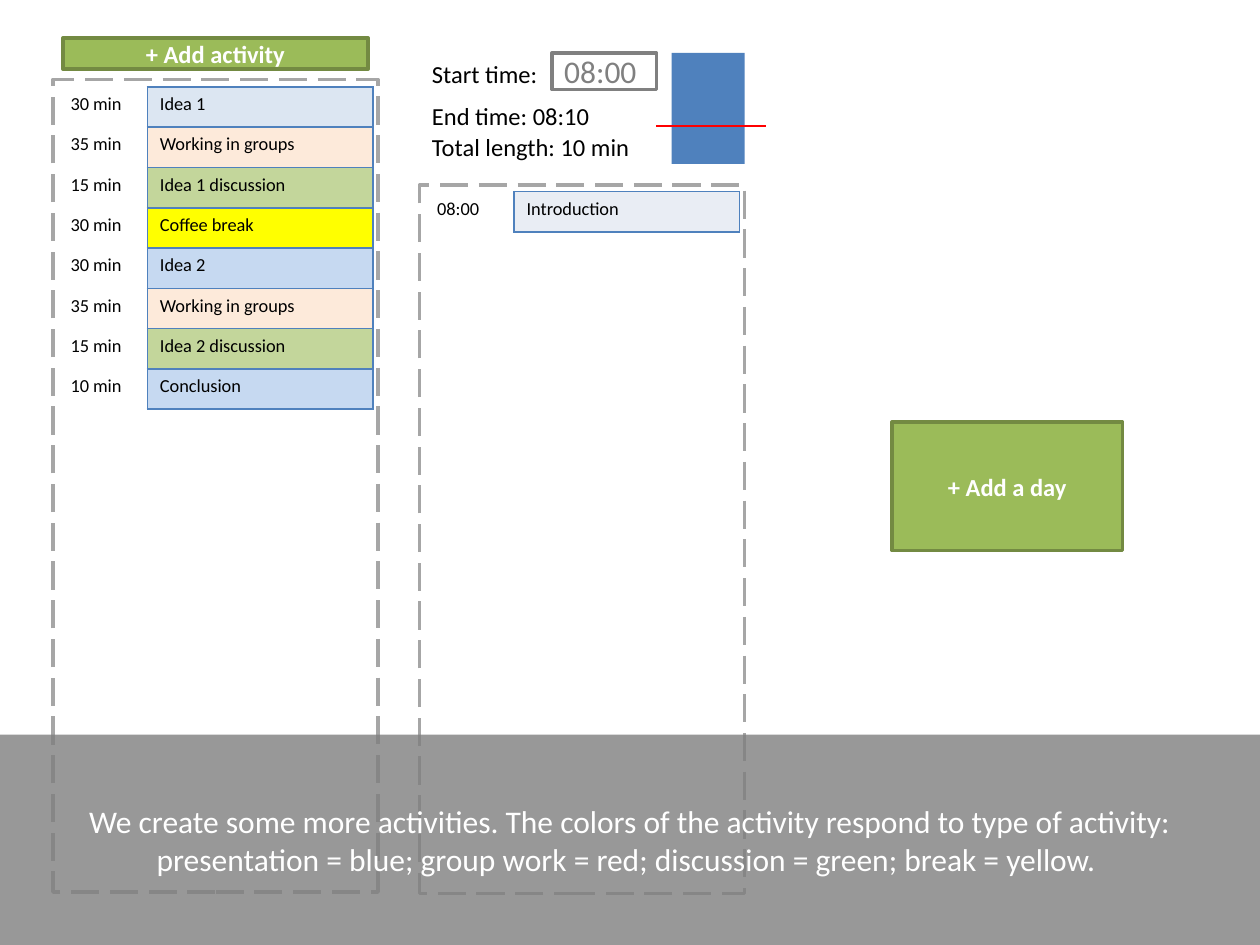
from lxml import etree
from pptx import Presentation
from pptx.dml.color import RGBColor
from pptx.enum import dml, shapes, text
from pptx.oxml import ns
from pptx.util import Inches, Pt

COLORS = {
    "white": "FFFFFF", "black": "000000", "gray": "808080", "frame": "A6A6A6",
    "banner": "7F7F7F", "green": "9BBB59", "edge": "738A42", "blue": "4F81BD",
    "red": "FF0000", "intro": "E9EDF4", "idea": "DCE6F2", "talk": "C6D9F1",
    "group": "FDEADA", "discuss": "C3D69B", "break": "FFFF00",
}
ACTIVITIES = [
    ("30 min", "Idea 1", "idea"),
    ("35 min", "Working in groups", "group"),
    ("15 min", "Idea 1 discussion", "discuss"),
    ("30 min", "Coffee break", "break"),
    ("30 min", "Idea 2", "talk"),
    ("35 min", "Working in groups", "group"),
    ("15 min", "Idea 2 discussion", "discuss"),
    ("10 min", "Conclusion", "talk"),
]


def rgb(name):
    return RGBColor.from_string(COLORS[name])


def add_sub(parent, tag, **attrs):
    return etree.SubElement(parent, ns.qn(tag), **attrs)


class Board:
    """Holds the style and the current slide."""
    font = "Calibri"

    def __init__(self, slide):
        self.slide = slide

    def set_text(self, frame, words, size, color="black", bold=False, align=None):
        frame.text = words
        para = frame.paragraphs[0]
        para.alignment = align
        para.font.name = self.font
        para.font.size = Pt(size)
        para.font.bold = bold
        para.font.color.rgb = rgb(color)

    def box(self, x, y, w, h, fill=None, line=None, dash=None, alpha=None):
        shape = self.slide.shapes.add_shape(
            shapes.MSO_SHAPE.RECTANGLE, Inches(x), Inches(y), Inches(w), Inches(h))
        shape.shadow.inherit = False
        if fill:
            shape.fill.solid()
            shape.fill.fore_color.rgb = rgb(fill)
        else:
            shape.fill.background()
        if line:
            shape.line.color.rgb = rgb(line)
            shape.line.width = Pt(2)
            shape.line.dash_style = dash
        else:
            shape.line.fill.background()
        if alpha:
            tint = shape._element.spPr.find(".//" + ns.qn("a:srgbClr"))
            add_sub(tint, "a:alpha", val=str(alpha * 1000))
        shape.text_frame.vertical_anchor = text.MSO_ANCHOR.MIDDLE
        return shape

    def frame(self, x, y, w, h):
        self.box(x, y, w, h, line="frame", dash=dml.MSO_LINE.LONG_DASH)

    def button(self, x, y, w, h, words):
        shape = self.box(x, y, w, h, "green", "edge")
        self.set_text(shape.text_frame, words, 14, "white", True,
                      text.PP_ALIGN.CENTER)

    def label(self, x, y, w, words, wrap=False):
        area = self.slide.shapes.add_textbox(
            Inches(x), Inches(y), Inches(w), Inches(0.34)).text_frame
        area.word_wrap = wrap
        area.auto_size = text.MSO_AUTO_SIZE.SHAPE_TO_FIT_TEXT
        self.set_text(area, words, 14)

    def line(self, x1, y1, x2, y2, color):
        rule = self.slide.shapes.add_connector(
            shapes.MSO_CONNECTOR.STRAIGHT,
            Inches(x1), Inches(y1), Inches(x2), Inches(y2))
        rule.line.color.rgb = rgb(color)
        rule.line.width = Pt(0.75)
        add_sub(rule._element.spPr, "a:effectLst")

    def border(self, cell, sides):
        props = cell._tc.get_or_add_tcPr()
        for spot, side in enumerate(sides):
            edge = etree.Element(ns.qn("a:ln" + side), w=str(Pt(1)))
            add_sub(add_sub(edge, "a:solidFill"), "a:srgbClr", val=COLORS["blue"])
            props.insert(spot, edge)

    def agenda(self, x, y, items):
        """Table of times and activities, each activity filled by its type."""
        step = 0.32
        table = self.slide.shapes.add_table(
            len(items), 2, Inches(x), Inches(y),
            Inches(2.5), Inches(step * len(items))).table
        table.first_row = table.horz_banding = False
        for col, wide in zip(table.columns, (0.71, 1.79)):
            col.width = Inches(wide)
        for row, (time, name, kind) in zip(table.rows, items):
            row.height = Inches(step)
            left, right = row.cells
            self.set_text(left.text_frame, time, 10.5)
            self.set_text(right.text_frame, name, 10.5)
            left.fill.background()
            right.fill.solid()
            right.fill.fore_color.rgb = rgb(kind)
            self.border(left, "R")
            self.border(right, "LRTB")


def main():
    deck = Presentation()
    deck.slide_width, deck.slide_height = Inches(10), Inches(7.5)
    board = Board(deck.slides.add_slide(deck.slide_layouts[6]))

    board.button(0.5, 0.3, 2.42, 0.25, "+ Add activity")
    board.frame(0.42, 0.63, 2.58, 6.45)
    board.frame(3.33, 1.47, 2.58, 5.62)

    start = board.box(4.38, 0.42, 0.83, 0.29, "white", "gray")
    board.set_text(start.text_frame, "08:00", 18, "gray", align=text.PP_ALIGN.LEFT)
    board.label(3.33, 0.42, 1.05, "Start time:")
    board.label(3.33, 1, 2.26, "Total length: 10 min", wrap=True)
    board.label(3.33, 0.75, 1.46, "End time: 08:10")

    board.button(7.08, 3.35, 1.83, 1.02, "+ Add a day")
    board.agenda(3.37, 1.52, [("08:00", "Introduction", "intro")])
    board.box(5.33, 0.42, 0.58, 0.88, "blue")
    board.line(5.21, 1, 6.08, 1, "red")
    board.agenda(0.46, 0.69, ACTIVITIES)

    banner = board.box(0, 5.83, 10, 1.67, "banner", alpha=80)
    board.set_text(
        banner.text_frame,
        "We create some more activities. The colors of the activity respond to "
        "type of activity: presentation = blue; group work = red; "
        "discussion = green; break = yellow. ",
        18, "white", align=text.PP_ALIGN.CENTER)
    deck.save("out.pptx")


if __name__ == "__main__":
    main()
